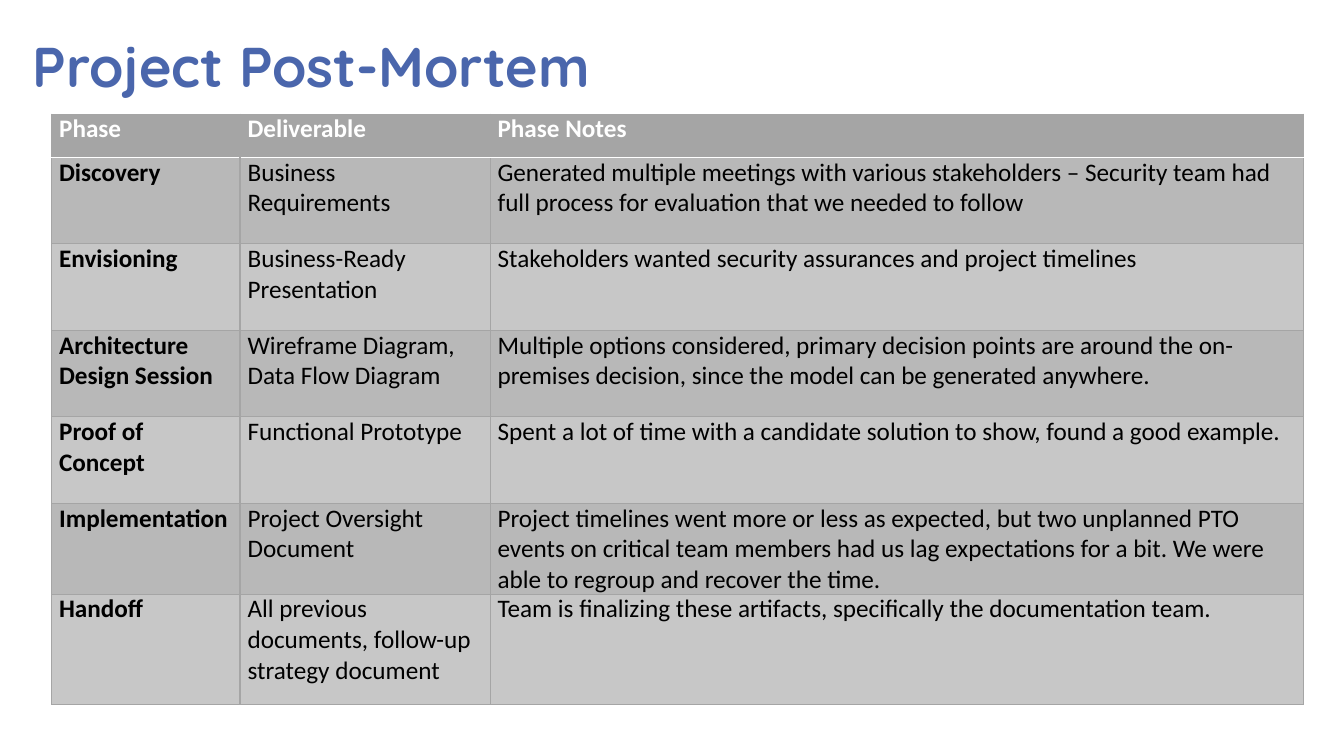
from lxml import etree
from pptx import Presentation
from pptx.dml.color import RGBColor
from pptx.enum.text import MSO_ANCHOR
from pptx.oxml.ns import qn
from pptx.util import Cm, Pt

BOTTOM = MSO_ANCHOR.BOTTOM
COLORS = {
    "title": "4A66AC",
    "header": "A5A5A5",
    "odd": "B8B8B8",
    "even": "C7C7C7",
    "white": "FFFFFF",
    "black": "000000",
}
COLUMN_WIDTHS = [4.75, 6.3, 20.5]
ROW_HEIGHTS = [1.09] + [2.18] * 5 + [2.77]
ROWS = [
    ("Phase", "Deliverable", "Phase Notes"),
    ("Discovery", "Business Requirements",
     "Generated multiple meetings with various stakeholders – Security team had "
     "full process for evaluation that we needed to follow"),
    ("Envisioning", "Business-Ready Presentation",
     "Stakeholders wanted security assurances and project timelines"),
    ("Architecture Design Session", "Wireframe Diagram, Data Flow Diagram",
     "Multiple options considered, primary decision points are around the "
     "on-premises decision, since the model can be generated anywhere."),
    ("Proof of Concept", "Functional Prototype",
     "Spent a lot of time with a candidate solution to show, found a good example."),
    ("Implementation", "Project Oversight Document",
     "Project timelines went more or less as expected, but two unplanned PTO "
     "events on critical team members had us lag expectations for a bit. We were "
     "able to regroup and recover the time."),
    ("Handoff", "All previous documents, follow-up strategy document",
     "Team is finalizing these artifacts, specifically the documentation team."),
]


def rgb(name):
    return RGBColor.from_string(COLORS[name])


def add_run(p, text, font, size, color, bold):
    r = p.add_run()
    r.text = text
    r.font.name = font
    r.font.size = Pt(size)
    r.font.bold = bold
    r.font.color.rgb = rgb(color)


def add_title(slide, text):
    sp = slide.shapes.add_textbox(Cm(0.58), Cm(0), Cm(17.88), Cm(2.59))
    tf = sp.text_frame
    tf.word_wrap = True
    tf.vertical_anchor = BOTTOM
    p = tf.paragraphs[0]
    p.line_spacing = 0.8
    add_run(p, text, "Quicksand", 40, "title", True)


def set_border(cell, side, color, width):
    tcPr = cell._tc.get_or_add_tcPr()
    ln = etree.SubElement(tcPr, qn(f"a:ln{side}"), w=str(Pt(width)))
    fill = etree.SubElement(ln, qn("a:solidFill"))
    etree.SubElement(fill, qn("a:srgbClr"), val=COLORS[color])


def style_cell(cell, row, col):
    borders = {side: ("header", 0.5) for side in "LRTB"}
    if row == 0:
        borders["B"] = ("white", 1)
    elif row == 1:
        borders["T"] = ("white", 1)
    if row > 0 and col < 2:
        borders["R" if col == 0 else "L"] = ("header", 1)
    for side, (color, width) in borders.items():
        set_border(cell, side, color, width)
    cell.fill.solid()
    cell.fill.fore_color.rgb = rgb("header" if row == 0 else "odd" if row % 2 else "even")
    cell.margin_left = cell.margin_right = Cm(0.19)
    cell.margin_top = cell.margin_bottom = Cm(0)


def add_phase_table(slide):
    frame = slide.shapes.add_table(
        len(ROWS), len(COLUMN_WIDTHS), Cm(1.3), Cm(2.87),
        Cm(sum(COLUMN_WIDTHS)), Cm(sum(ROW_HEIGHTS)))
    table = frame.table
    table.horz_banding = False
    for column, width in zip(table.columns, COLUMN_WIDTHS):
        column.width = Cm(width)
    for i, (height, texts) in enumerate(zip(ROW_HEIGHTS, ROWS)):
        table.rows[i].height = Cm(height)
        for j, text in enumerate(texts):
            cell = table.cell(i, j)
            style_cell(cell, i, j)
            add_run(cell.text_frame.paragraphs[0], text, "Calibri", 18,
                    "black" if i else "white", i == 0 or j == 0)


def main():
    prs = Presentation()
    prs.slide_width = Cm(33.87)
    prs.slide_height = Cm(19.05)
    slide = prs.slides.add_slide(prs.slide_layouts[6])
    add_title(slide, "Project Post-Mortem")
    add_phase_table(slide)
    prs.save("out.pptx")


if __name__ == "__main__":
    main()
